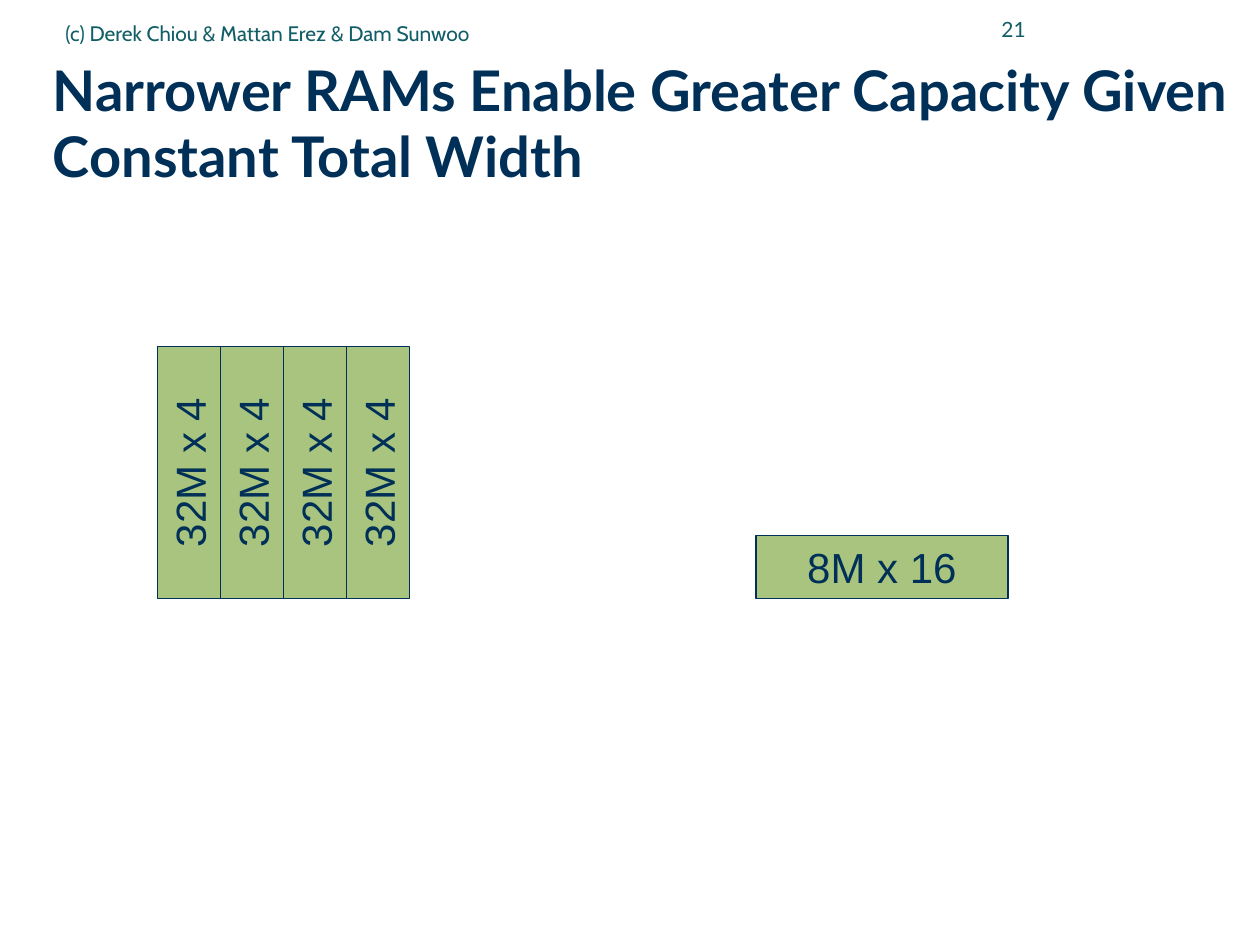
from pptx import Presentation
from pptx.dml.color import RGBColor
from pptx.enum import shapes, text
from pptx.util import Inches, Pt

NAVY = RGBColor(0x00, 0x30, 0x57)
TEAL = RGBColor(0x11, 0x5E, 0x67)
GREEN = RGBColor(0xA9, 0xC4, 0x7F)


def write(sp, content, font, size, color, bold=False, align=text.PP_ALIGN.LEFT, wrap=True):
    tf = sp.text_frame
    tf.word_wrap = wrap
    tf.auto_size = text.MSO_AUTO_SIZE.NONE
    tf.vertical_anchor = text.MSO_ANCHOR.MIDDLE
    p = tf.paragraphs[0]
    p.alignment = align
    r = p.add_run()
    r.text = content
    r.font.name = font
    r.font.size = Pt(size)
    r.font.bold = bold
    r.font.color.rgb = color
    return p


def add_ram(s, label, left, top, rotation=0):
    sp = s.shapes.add_shape(shapes.MSO_SHAPE.RECTANGLE, Inches(left), Inches(top),
                            Inches(2), Inches(0.5))
    sp.rotation = rotation
    sp.shadow.inherit = False
    sp.fill.solid()
    sp.fill.fore_color.rgb = GREEN
    sp.line.color.rgb = NAVY
    sp.line.width = Pt(0.75)
    write(sp, label, "Arial", 24, NAVY, align=text.PP_ALIGN.CENTER, wrap=False)


prs = Presentation()
prs.slide_width, prs.slide_height = Inches(10), Inches(7.5)
s = prs.slides.add_slide(prs.slide_layouts[5])

title = s.shapes.title
title.left, title.top = Inches(0.42), Inches(0.5)
title.width, title.height = Inches(9.41), Inches(0.98)
tf = title.text_frame
tf.margin_left = tf.margin_top = tf.margin_right = tf.margin_bottom = 0
p = write(title, "Narrower RAMs Enable Greater Capacity Given Constant Total Width",
          "Lato", 32, NAVY, bold=True)
p.line_spacing = 0.99
p.space_before = Pt(0)

number = s.shapes.add_textbox(Inches(7.33), Inches(-0.02), Inches(0.91), Inches(0.5))
write(number, "21", "Lato", 12, TEAL, align=text.PP_ALIGN.RIGHT)

credit = s.shapes.add_textbox(Inches(0.42), Inches(0.03), Inches(5.67), Inches(0.46))
write(credit, "(c) Derek Chiou & Mattan Erez & Dam Sunwoo", "Cabin", 12, TEAL)

add_ram(s, "8M x 16", 6, 4.25)
for i in range(4):
    add_ram(s, "32M x 4", 0.5 + 0.5 * i, 3.5, rotation=270)

prs.save("out.pptx")
